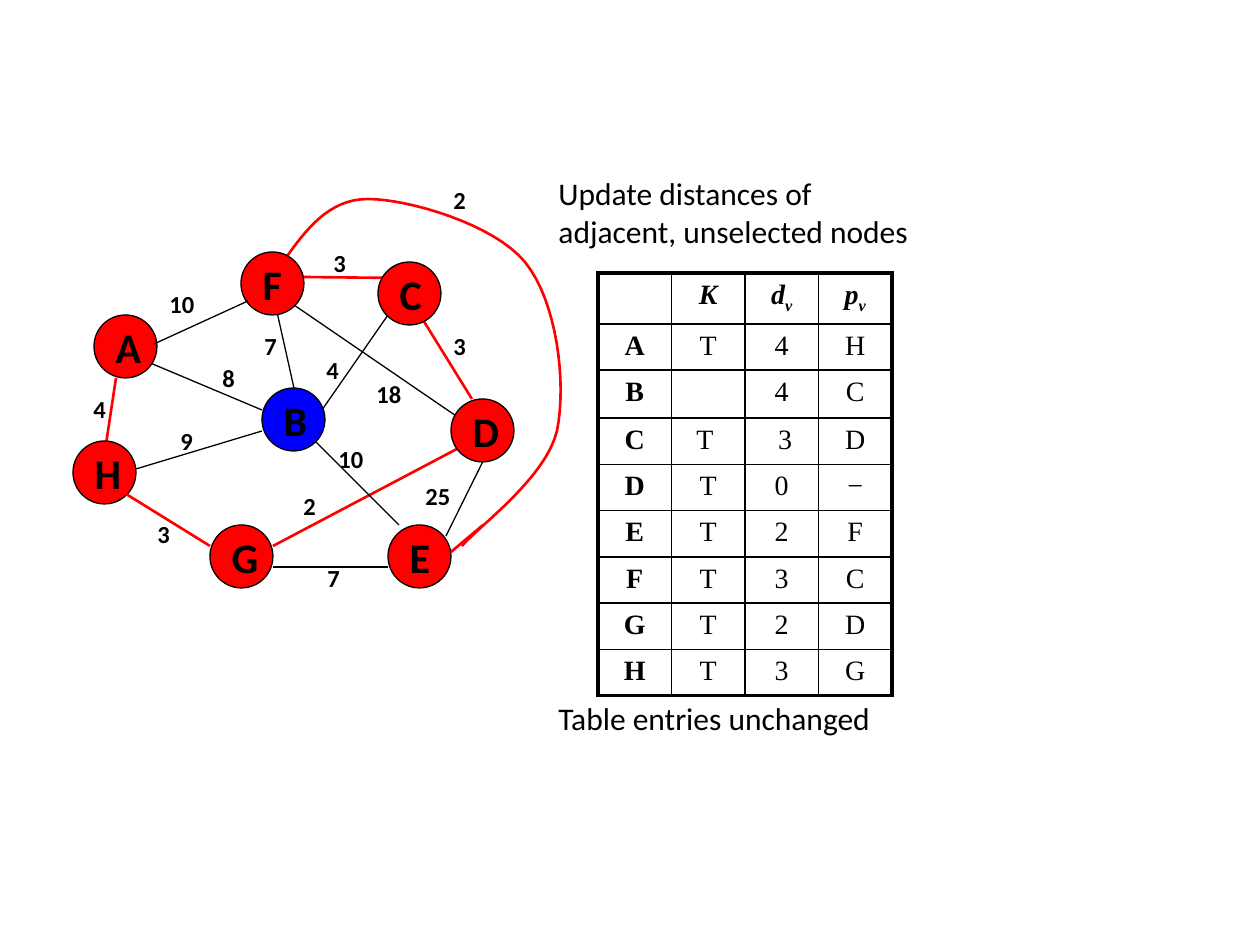
from lxml.etree import SubElement
from pptx import Presentation
from pptx.dml.color import RGBColor
from pptx.enum.shapes import MSO_CONNECTOR, MSO_SHAPE
from pptx.enum.text import MSO_ANCHOR, PP_ALIGN
from pptx.oxml.ns import qn
from pptx.util import Pt

PX = 914400 / 126
RED = RGBColor(0xFF, 0, 0)
BLUE = RGBColor(0, 0, 0xFF)
BLACK = RGBColor(0, 0, 0)
NODE = 63

# Edges are x1, y1, x2, y2, colour, relative to the graph box.
EDGES_BEHIND = [
    (428, 261, 376, 366, BLACK), (203, 124, 224, 218, BLACK),
    (245, 250, 318, 145, BLACK), (392, 250, 224, 135, BLACK),
    (56, 302, 192, 261, BLACK), (203, 376, 402, 271, RED),
    (35, 281, 46, 208, RED), (66, 187, 192, 240, BLACK),
    (230, 107, 329, 108, RED), (350, 145, 402, 229, RED),
]
EDGES_FRONT = [
    (245, 271, 329, 355, BLACK), (318, 397, 203, 397, BLACK),
    (140, 376, 56, 324, RED), (84, 174, 178, 131, BLACK),
    (413, 355, 381, 382, RED),
]
NODES = {"A": (24, 145), "H": (3, 271), "B": (192, 218), "F": (171, 82),
         "E": (318, 355), "D": (381, 229), "C": (308, 92), "G": (140, 355)}
WEIGHTS = [
    ("4", 11, 218), ("25", 343, 305), ("7", 245, 387), ("2", 221, 315),
    ("10", 256, 268), ("18", 294, 203), ("3", 371, 155), ("4", 244, 179),
    ("3", 251, 72), ("7", 182, 155), ("8", 140, 187), ("9", 98, 250),
    ("3", 75, 343), ("10", 87, 113), ("2", 371, 9),
]
# The F-E edge: a start point, then two controls and an end for each curve.
ARC = [(213, 92), (235, 61), (258, 29), (298, 29), (338, 29), (424, 54),
       (455, 92), (487, 131), (497, 213), (487, 261), (476, 308), (408, 357),
       (392, 376)]
ROWS = [("A", "T", "4", "H"), ("B", "", "4", "C"), ("C", "T ", " 3", "D"),
        ("D", "T", "0", "\u2212"), ("E", "T", "2", "F"), ("F", "T", "3", "C"),
        ("G", "T", "2", "D"), ("H", "T", "3", "G")]


def emu(*pixels):
    """Turn pixel lengths into EMU."""
    return [round(v * PX) for v in pixels]


def add_run(p, text, size, font="Calibri", bold=False, italic=False):
    """Add one black run and return it."""
    r = p.add_run()
    r.text = text
    f = r.font
    f.size, f.name, f.bold, f.italic = Pt(size), font, bold, italic
    f.color.rgb = BLACK
    return r


def add_text(s, x, y, w, h, text, size, bold=False):
    """Add a wrapping text box."""
    tf = s.shapes.add_textbox(*emu(x, y, w, h)).text_frame
    tf.word_wrap = True
    add_run(tf.paragraphs[0], text, size, bold=bold)


def add_edges(s, x, y, edges):
    """Draw straight edges; the red ones are thicker."""
    for x1, y1, x2, y2, color in edges:
        c = s.shapes.add_connector(MSO_CONNECTOR.STRAIGHT,
                                   *emu(x + x1, y + y1, x + x2, y + y2))
        c.line.color.rgb = color
        c.line.width = Pt(1.5 if color == RED else 0.75)
        SubElement(c._element.spPr, qn("a:effectLst"))


def add_arc(s, x, y, steps=16):
    """Draw the curved edge as a fine open outline."""
    points = []
    for i in range(0, len(ARC) - 1, 3):
        for k in range(1, steps + 1):
            t = k / steps
            weights = ((1 - t) ** 3, 3 * t * (1 - t) ** 2,
                       3 * t * t * (1 - t), t ** 3)
            bx, by = (sum(w * pt[a] for w, pt in zip(weights, ARC[i:i + 4]))
                      for a in (0, 1))
            points.append(emu(x + bx, y + by))
    fb = s.shapes.build_freeform(*emu(x + ARC[0][0], y + ARC[0][1]))
    fb.add_line_segments(points, close=False)
    sp = fb.convert_to_shape()
    sp.shadow.inherit = False
    sp.fill.background()
    sp.line.color.rgb = RED
    sp.line.width = Pt(1.5)


def add_nodes(s, x, y):
    """Draw the lettered nodes; B is the one not yet selected."""
    for name, (nx, ny) in NODES.items():
        sp = s.shapes.add_shape(MSO_SHAPE.OVAL, *emu(x + nx, y + ny, NODE, NODE))
        sp.shadow.inherit = False
        sp.fill.solid()
        sp.fill.fore_color.rgb = BLUE if name == "B" else RED
        sp.line.color.rgb = BLACK
        sp.line.width = Pt(0.75)
        tf = sp.text_frame
        tf.word_wrap = False
        tf.vertical_anchor = MSO_ANCHOR.MIDDLE
        p = tf.paragraphs[0]
        p.alignment = PP_ALIGN.LEFT
        add_run(p, name, 24, bold=True)


def add_graph(s, x, y):
    """Place the weighted graph."""
    add_arc(s, x, y)
    add_edges(s, x, y, EDGES_BEHIND)
    add_nodes(s, x, y)
    add_edges(s, x, y, EDGES_FRONT)
    for text, lx, ly in WEIGHTS:
        add_text(s, x + lx, y + ly, 42 if len(text) == 1 else 65, 42,
                 text, 14, True)


def set_borders(cell, outer):
    """Draw the cell borders, heavier on the outer sides."""
    tcPr = cell._tc.get_or_add_tcPr()
    for i, side in enumerate(("L", "R", "T", "B")):
        width = Pt(2.25 if side in outer else 1)
        ln = SubElement(tcPr, qn("a:ln" + side), w=str(width))
        fill = SubElement(ln, qn("a:solidFill"))
        SubElement(fill, qn("a:srgbClr"), val=str(BLACK))
        tcPr.remove(ln)
        tcPr.insert(i, ln)


def add_distance_table(s, x, y, col_w=73.5, row_h=46):
    """Place the table of known flags, distances and predecessors."""
    data = [("", "K", "dv", "pv")] + ROWS
    last_row, last_col = len(data) - 1, 3
    frame = s.shapes.add_table(len(data), 4, *emu(x, y, col_w * 4, 418))
    table = frame.table
    table.first_row = table.horz_banding = False
    for col in table.columns:
        col.width = emu(col_w)[0]
    for i, values in enumerate(data):
        table.rows[i].height = emu({0: 51, 2: 48}.get(i, row_h))[0]
        for j, text in enumerate(values):
            cell = table.cell(i, j)
            cell.fill.background()
            p = cell.text_frame.paragraphs[0]
            p.alignment = PP_ALIGN.CENTER
            head = i == 0
            for k, part in enumerate(text if head else [text] if text else []):
                r = add_run(p, part, 16, "Times New Roman", head or j == 0, head)
                if k:
                    r.font._element.set("baseline", "-25000")
            if not text:
                SubElement(p._p, qn("a:endParaRPr"), sz="1600")
            set_borders(cell, "L" * (j == 0) + "R" * (j == last_col)
                        + "T" * (i == 0) + "B" * (i == last_row))


def main():
    """Build and save the slide."""
    prs = Presentation()
    prs.slide_width, prs.slide_height = emu(1260, 945)
    s = prs.slides.add_slide(prs.slide_layouts[6])
    add_graph(s, 70, 170)
    add_text(s, 546, 168, 399, 97,
             "Update distances of adjacent, unselected nodes", 18)
    add_distance_table(s, 598, 273)
    add_text(s, 546, 693, 388, 54, "Table entries unchanged", 18)
    prs.save("out.pptx")


main()
